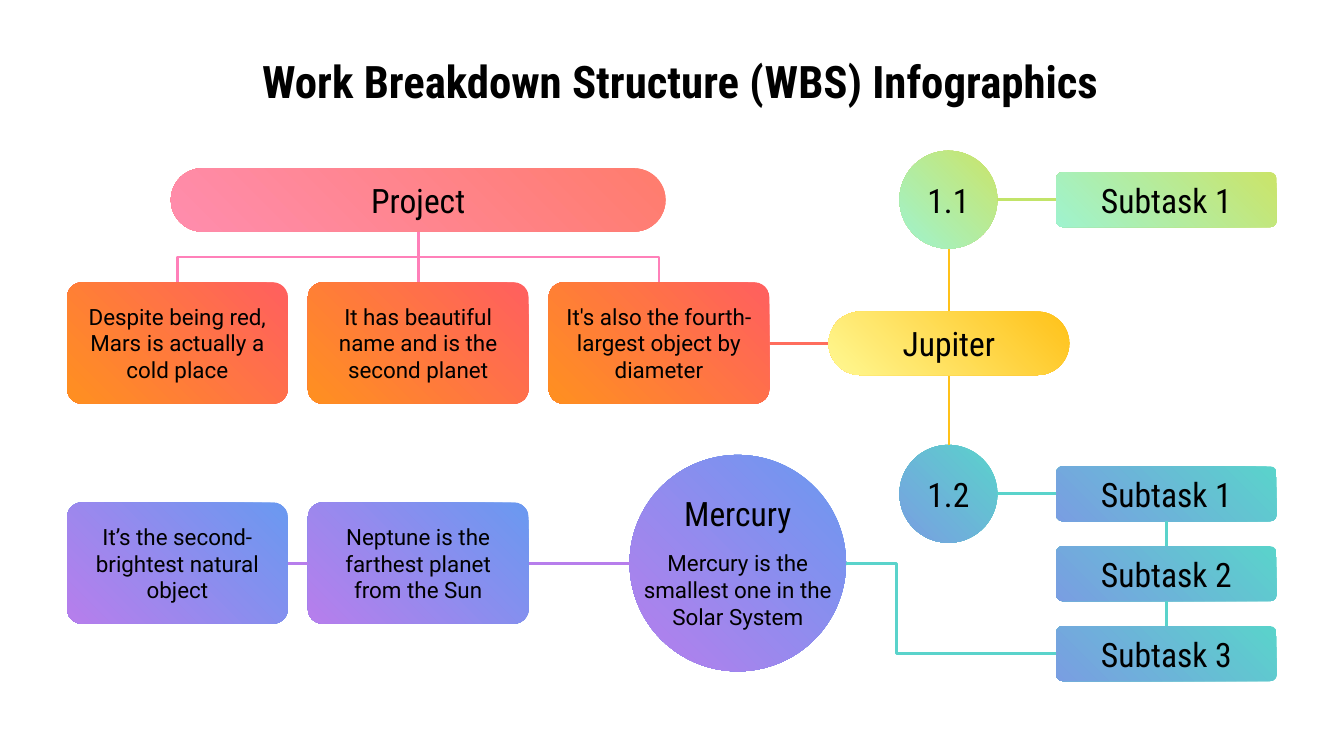
from lxml.etree import SubElement
from pptx import Presentation
from pptx.dml.color import RGBColor
from pptx.enum.shapes import MSO_CONNECTOR, MSO_SHAPE
from pptx.enum.text import MSO_ANCHOR, MSO_AUTO_SIZE, PP_ALIGN
from pptx.oxml.ns import qn
from pptx.util import Cm, Pt

BLACK = RGBColor(0x00, 0x00, 0x00)
PINK = RGBColor(0xFF, 0x80, 0xB9)
RED = RGBColor(0xFF, 0x6D, 0x5D)
GOLD = RGBColor(0xFF, 0xC1, 0x19)
LIME = RGBColor(0xC2, 0xE4, 0x69)
TEAL = RGBColor(0x5A, 0xD3, 0xCB)
VIOLET = RGBColor(0xB7, 0x7E, 0xEC)
ROSE_FADE = RGBColor(0xFF, 0x7C, 0x6D), RGBColor(0xFF, 0x8D, 0xAD)
FIRE_FADE = RGBColor(0xFF, 0x5F, 0x5F), RGBColor(0xFF, 0x90, 0x20)
LIME_FADE = RGBColor(0xCB, 0xE4, 0x69), RGBColor(0x9F, 0xF3, 0xCF)
TEAL_FADE = TEAL, RGBColor(0x79, 0x9E, 0xE2)
PLUM_FADE = RGBColor(0x6A, 0x99, 0xF0), VIOLET
GOLD_FADE = GOLD, RGBColor(0xFF, 0xF8, 0x92)

HEAD, BODY = "Roboto Condensed", "Roboto"
CARD_W, CARD_H, CARD_STEP = 4.17, 2.29, 4.55
TASK_H, TASK_STEP = 1.04, 1.51
PILL_H = 1.2
DISC, TASK_DX = 1.85, 2.96
GLOBE = 4.09


def write(shape, text, size=18, font=HEAD, bold=False, anchor=MSO_ANCHOR.MIDDLE):
    """Put centred, formatted text in a shape."""
    frame = shape.text_frame
    frame.word_wrap = True
    frame.auto_size = MSO_AUTO_SIZE.NONE
    frame.vertical_anchor = anchor
    frame.margin_left = frame.margin_right = Cm(0.25)
    frame.margin_top = frame.margin_bottom = Cm(0.25)
    frame.text = text
    para = frame.paragraphs[0]
    para.alignment = PP_ALIGN.CENTER
    face = para.runs[0].font
    face.name, face.size, face.bold = font, Pt(size), bold
    face.color.rgb = BLACK


def block(slide, kind, x, y, w, h, fade, round=None):
    """Add a shape with a diagonal gradient."""
    shape = slide.shapes.add_shape(kind, Cm(x), Cm(y), Cm(w), Cm(h))
    shape.shadow.inherit = False
    shape.line.fill.background()
    shape.fill.gradient()
    shape.fill.gradient_angle = 225
    for stop, color in zip(shape.fill.gradient_stops, fade):
        stop.color.rgb = color
    if round is not None:
        shape.adjustments[0] = round
    return shape


def pill(slide, x, y, w, fade, text):
    """Add a fully rounded bar with a label."""
    write(block(slide, MSO_SHAPE.ROUNDED_RECTANGLE, x, y, w, PILL_H, fade, 0.5), text)


def card(slide, x, y, h, fade, text, **style):
    """Add a slightly rounded card with text."""
    shape = block(slide, MSO_SHAPE.ROUNDED_RECTANGLE, x, y, CARD_W, h, fade, 0.12)
    write(shape, text, **style)


def link(slide, x1, y1, x2, y2, color, kind=MSO_CONNECTOR.STRAIGHT):
    """Add a plain connector."""
    line = slide.shapes.add_connector(kind, Cm(x1), Cm(y1), Cm(x2), Cm(y2))
    line.line.color.rgb = color
    line.line.width = Pt(1.5)
    SubElement(line._element.spPr, qn("a:effectLst"))
    return line


def bend(slide, x1, y1, x2, y2, color, turn):
    """Add an elbow that turns at a share of its width."""
    line = link(slide, x1, y1, x2, y2, color, MSO_CONNECTOR.ELBOW)
    shape = line._element.spPr.find(qn("a:prstGeom"))
    guides = shape.find(qn("a:avLst"))
    if guides is None:
        guides = SubElement(shape, qn("a:avLst"))
    SubElement(guides, qn("a:gd"), name="adj1", fmla=f"val {round(turn * 100000)}")
    return line


def drop(slide, x1, y1, x2, y2, color):
    """Add an elbow that leaves and arrives vertically."""
    side = 1 if x2 < x1 else -1
    mid_x, mid_y = (x1 + x2) / 2, (y1 + y2) / 2
    half_w, half_h = side * (y2 - y1) / 2, abs(x2 - x1) / 2
    line = bend(slide, mid_x - half_w, mid_y - half_h,
                mid_x + half_w, mid_y + half_h, color, 0.5)
    angle = 90 if side == 1 else 270
    line._element.spPr.find(qn("a:xfrm")).set("rot", str(angle * 60000))


def title(slide, x, y, w, h):
    """Place and format the slide title."""
    shape = slide.shapes.title
    shape.left, shape.top, shape.width, shape.height = Cm(x), Cm(y), Cm(w), Cm(h)
    write(shape, "Work Breakdown Structure (WBS) Infographics", size=24, bold=True,
          anchor=MSO_ANCHOR.TOP)


def cards(slide, x, y, fade, texts):
    """Lay out a row of text cards."""
    for i, text in enumerate(texts):
        card(slide, x + i * CARD_STEP, y, CARD_H, fade, text, size=12, font=BODY)


def project(slide, x, y, w):
    """Draw the project bar, its three cards and the tree between them."""
    row, mid = y + 2.16, x + CARD_STEP + CARD_W / 2
    pill(slide, mid - w / 2, y, w, ROSE_FADE, "Project")
    cards(slide, x, row, FIRE_FADE, (
        "Despite being red, Mars is actually a cold place",
        "It has beautiful name and is the second planet",
        "It's also the fourth-largest object by diameter"))
    for step in (-1, 1, 0):
        drop(slide, mid, y + PILL_H, mid + step * CARD_STEP, row, PINK)


def branch(slide, x, y, fade, color, text, tasks):
    """Draw a numbered disc with its column of subtasks."""
    write(block(slide, MSO_SHAPE.OVAL, x, y, DISC, DISC, fade), text)
    mid, left = y + DISC / 2, x + TASK_DX
    link(slide, x + DISC, mid, left, mid, color)
    for i, task in enumerate(tasks):
        top = mid - TASK_H / 2 + i * TASK_STEP
        card(slide, left, top, TASK_H, fade, task)
        if i:
            center = left + CARD_W / 2
            link(slide, center, top - TASK_STEP + TASK_H, center, top, color)


def jupiter(slide, x, y, w):
    """Draw the Jupiter bar with its links to the discs and the project."""
    mid = x + w / 2
    link(slide, x - 1.13, y + PILL_H / 2, x, y + PILL_H / 2, RED)
    link(slide, mid, y, mid, y - 1.19, GOLD)
    link(slide, mid, y + PILL_H, mid, y + PILL_H + 1.32, GOLD)
    pill(slide, x, y, w, GOLD_FADE, "Jupiter")


def mercury(slide, x, y, row):
    """Draw the Mercury globe, its two cards and their links."""
    mid = y + GLOBE / 2
    block(slide, MSO_SHAPE.OVAL, x, y, GLOBE, GLOBE, PLUM_FADE)
    for text, top, high, style in (
            ("Mercury", 0.47, 1.08, {}),
            ("Mercury is the smallest one in the Solar System", 1.53, 1.83,
             {"size": 12, "font": BODY})):
        box = slide.shapes.add_textbox(Cm(x), Cm(y + top), Cm(GLOBE), Cm(high))
        write(box, text, anchor=MSO_ANCHOR.TOP, **style)
    cards(slide, row, mid - CARD_H / 2, PLUM_FADE, (
        "It’s the second-brightest natural object",
        "Neptune is the farthest planet from the Sun"))
    link(slide, x, mid, row + CARD_STEP + CARD_W, mid, VIOLET)
    link(slide, row + CARD_STEP, mid, row + CARD_W, mid, VIOLET)
    bend(slide, 19.96, 12.35, x + GLOBE, mid, TEAL, 0.76)


def main():
    """Build and save the slide."""
    deck = Presentation()
    deck.slide_width, deck.slide_height = Cm(25.4), Cm(14.29)
    slide = deck.slides.add_slide(deck.slide_layouts[5])
    title(slide, 1.02, 0.76, 23.67, 1.6)
    mercury(slide, 11.9, 8.6, 1.27)
    project(slide, 1.27, 3.18, 9.35)
    branch(slide, 17, 2.85, LIME_FADE, LIME, "1.1", ("Subtask 1",))
    branch(slide, 17, 8.41, TEAL_FADE, TEAL, "1.2",
           ("Subtask 1", "Subtask 2", "Subtask 3"))
    jupiter(slide, 15.66, 5.89, 4.55)
    deck.save("out.pptx")


if __name__ == "__main__":
    main()
